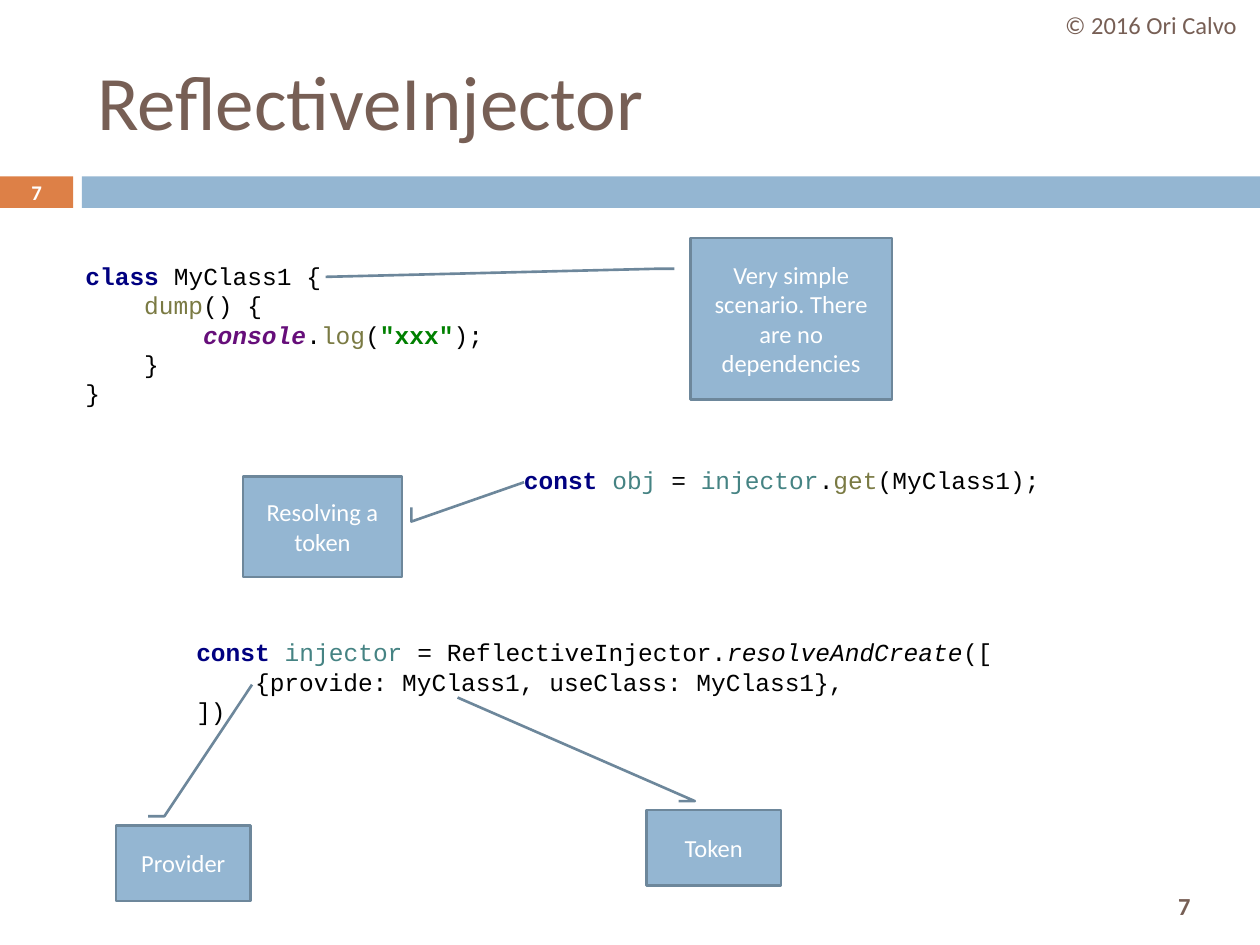
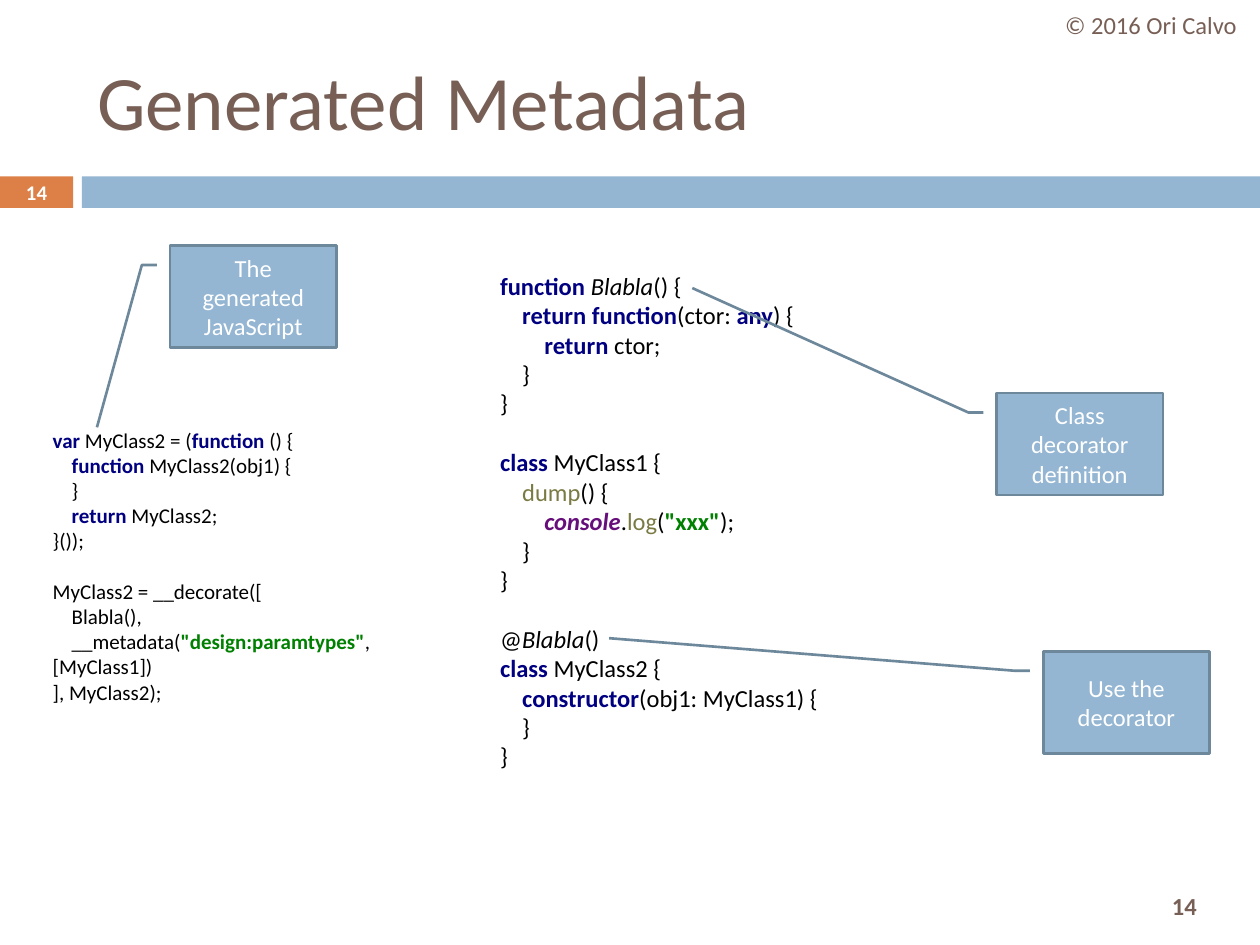
from dataclasses import dataclass

from pptx import Presentation
from pptx.dml.color import RGBColor
from pptx.enum.shapes import MSO_SHAPE
from pptx.enum.text import MSO_ANCHOR, MSO_AUTO_SIZE, PP_ALIGN
from pptx.util import Inches, Pt

COLUMNS, ROWS = 100, 75
SLIDE_WIDTH, SLIDE_HEIGHT = Inches(10), Inches(7.5)
BROWN, ORANGE, BLUE, STEEL, WHITE = "775F55", "DD8047", "94B6D2", "6D879B", "FFFFFF"
SANS, MONO = "Calibri", "Courier New"
SPACE_SHARE = {SANS: 0.226, MONO: 0.6}
INDENT_SPACES = 4
LINE_SHARE = 1.2

STYLES = {
    "plain": {"color": "000000"},
    "slanted": {"color": "000000", "italic": True},
    "keyword": {"color": "000080", "bold": True},
    "method": {"color": "7A7A43"},
    "global": {"color": "660E7A", "bold": True, "italic": True},
    "string": {"color": "008000", "bold": True},
    "variable": {"color": "458383"},
}

LEFT_ELBOW = (0.19, -0.08, 0.19, -0.17)
TOP_ELBOW = (-0.12, 0.24, -0.12, 0.36)
RIGHT_ELBOW = (0.31, 1.06, 0.45, 1.06)


@dataclass
class Box:
    """An area measured in grid columns and rows."""
    left: float
    top: float
    width: float
    height: float

    def inner(self, left, top, width, height):
        """Return an area placed from this area's top left corner."""
        return Box(self.left + left, self.top + top, width, height)

    def lengths(self):
        """Return left, top, width and height as slide lengths."""
        column, row = SLIDE_WIDTH / COLUMNS, SLIDE_HEIGHT / ROWS
        return (round(self.left * column), round(self.top * row),
                round(self.width * column), round(self.height * row))


HEADER = Box(0, 0, COLUMNS, 16.6)
BODY = Box(0, 17, COLUMNS, 52)
FOOTER = Box(0, 69, COLUMNS, 6)


def rgb(value):
    """Turn a hex string into a colour."""
    return RGBColor.from_string(value)


def add_span(para, text, size, color, font=SANS, bold=False, italic=False):
    """Append one formatted run."""
    span = para.add_run()
    span.text = text
    span.font.name, span.font.size = font, Pt(size)
    span.font.bold, span.font.italic = bold, italic
    span.font.color.rgb = rgb(color)


def write_label(shape, text, size, color, bold=False, align=PP_ALIGN.CENTER):
    """Write a single vertically centred line of text in a shape."""
    frame = shape.text_frame
    frame.word_wrap = True
    frame.auto_size = MSO_AUTO_SIZE.NONE
    frame.vertical_anchor = MSO_ANCHOR.MIDDLE
    para = frame.paragraphs[0]
    para.alignment = align
    add_span(para, text, size, color, bold=bold)


def add_label(page, box, text, size, color, bold=False):
    """Add a centred text box."""
    write_label(page.shapes.add_textbox(*box.lengths()), text, size, color, bold)


def add_filled(page, kind, box, fill):
    """Add a flat preset shape without an outline."""
    shape = page.shapes.add_shape(kind, *box.lengths())
    shape.shadow.inherit = False
    shape.fill.solid()
    shape.fill.fore_color.rgb = rgb(fill)
    shape.line.fill.background()
    return shape


def add_callout(page, box, text, elbow, target):
    """Add a callout whose bent line ends at target, given as (down, across) shares."""
    shape = add_filled(page, MSO_SHAPE.LINE_CALLOUT_2, box, BLUE)
    shape.line.color.rgb = rgb(STEEL)
    shape.line.width = Pt(1.5)
    for index, share in enumerate(elbow + target):
        shape.adjustments[index] = share
    write_label(shape, text, 14, WHITE)


def add_code(page, box, lines, font, size):
    """Add highlighted code from (depth, blank lines before, runs) entries."""
    frame = page.shapes.add_textbox(*box.lengths()).text_frame
    frame.word_wrap = True
    frame.auto_size = MSO_AUTO_SIZE.SHAPE_TO_FIT_TEXT
    step = Pt(size * SPACE_SHARE[font] * INDENT_SPACES)
    for number, (depth, blanks, runs) in enumerate(lines):
        para = frame.add_paragraph() if number else frame.paragraphs[0]
        para.line_spacing = Pt(size * LINE_SHARE)
        para.space_before = Pt(size * LINE_SHARE * blanks)
        properties = para._p.get_or_add_pPr()
        properties.set("marL", "0")
        properties.set("indent", str(depth * step))
        for style, text in runs:
            add_span(para, text, size, font=font, **STYLES[style])


def plain(depth, text, blanks=0):
    """Return a code line in a single plain run."""
    return depth, blanks, [("plain", text)]


def first_class(blanks=0):
    """Return the code lines of the class that both slides show."""
    return [
        (0, blanks, [("keyword", "class "), ("plain", "MyClass1 {")]),
        (1, 0, [("method", "dump"), ("plain", "() {")]),
        (2, 0, [("global", "console"), ("plain", "."), ("method", "log"),
                ("plain", "("), ("string", '"xxx"'), ("plain", ");")]),
        plain(1, "}"),
        plain(0, "}"),
    ]


def add_header(page, box, title, number):
    """Fill the top region with title, credit and numbered band."""
    add_filled(page, MSO_SHAPE.RECTANGLE, box.inner(0, 14, 5.8, 2.5), ORANGE)
    add_filled(page, MSO_SHAPE.RECTANGLE, box.inner(6.5, 14, 93.5, 2.5), BLUE)
    heading = page.shapes.title
    heading.left, heading.top, heading.width, heading.height = (
        box.inner(6.7, 2.5, 89.2, 10.8).lengths())
    write_label(heading, title, 44, BROWN, align=PP_ALIGN.LEFT)
    add_label(page, box.inner(82.7, 0, 17.3, 4), "© 2016 Ori Calvo", 14, BROWN)
    add_label(page, box.inner(0, 13.9, 5.8, 2.7), number, 11.9, WHITE, True)


def add_footer(page, box, number):
    """Place the page number at the bottom right."""
    add_label(page, box.inner(89.4, 0.8, 9.2, 4.2), number, 14, BROWN, True)


def add_page(deck, title, number):
    """Add a slide with the shared header and footer."""
    page = deck.slides.add_slide(deck.slide_layouts[5])
    add_header(page, HEADER, title, str(number))
    add_footer(page, FOOTER, str(number))
    return page


def fill_injector(page, box):
    """Show how an injector is created and used."""
    creation = [
        (0, 0, [("keyword", "const "), ("variable", "injector "),
                ("plain", "= ReflectiveInjector."),
                ("slanted", "resolveAndCreate"), ("plain", "([")]),
        plain(1, "{provide: MyClass1, useClass: MyClass1},"),
        plain(0, "])"),
    ]
    lookup = [(0, 0, [("keyword", "const "), ("variable", "obj "), ("plain", "= "),
                      ("variable", "injector"), ("plain", "."), ("method", "get"),
                      ("plain", "(MyClass1);")])]
    add_code(page, box.inner(5.8, 3.2, 50, 12.8), first_class(), MONO, 14)
    add_code(page, box.inner(14.6, 33.1, 66, 8.1), creation, MONO, 14)
    add_code(page, box.inner(40.6, 19.4, 44, 3.4), lookup, MONO, 14)
    add_callout(page, box.inner(51.3, 47.3, 10.7, 6), "Token", TOP_ELBOW, (-1.49, -1.4))
    add_callout(page, box.inner(54.8, 1.9, 16, 12.8),
                "Very simple scenario. There are no dependencies", LEFT_ELBOW, (0.24, -1.81))
    add_callout(page, box.inner(19.3, 20.8, 12.6, 8), "Resolving a token",
                RIGHT_ELBOW, (0.06, 1.77))
    add_callout(page, box.inner(9.2, 48.5, 10.7, 6), "Provider", TOP_ELBOW, (-1.86, 1.01))


def fill_metadata(page, box):
    """Show decorated source next to the generated output."""
    source = [
        (0, 0, [("keyword", "function "), ("slanted", "Blabla"), ("plain", "() {")]),
        (1, 0, [("keyword", "return function"), ("plain", "(ctor: "),
                ("keyword", "any"), ("plain", ") {")]),
        (2, 0, [("keyword", "return "), ("plain", "ctor;")]),
        plain(1, "}"),
        plain(0, "}"),
        *first_class(blanks=1),
        (0, 1, [("plain", "@"), ("slanted", "Blabla"), ("plain", "()")]),
        (0, 0, [("keyword", "class "), ("plain", "MyClass2 {")]),
        (1, 0, [("keyword", "constructor"), ("plain", "(obj1: MyClass1) {")]),
        plain(1, "}"),
        plain(0, "}"),
    ]
    generated = [
        (0, 0, [("keyword", "var "), ("plain", "MyClass2 = ("),
                ("keyword", "function "), ("plain", "() {")]),
        (1, 0, [("keyword", "function "), ("plain", "MyClass2(obj1) {")]),
        plain(1, "}"),
        (1, 0, [("keyword", "return "), ("plain", "MyClass2;")]),
        plain(0, "}());"),
        plain(0, "MyClass2 = __decorate([", blanks=1),
        plain(1, "Blabla(),"),
        (1, 0, [("plain", "__metadata("), ("string", '"design:paramtypes"'),
                ("plain", ", [MyClass1])")]),
        plain(0, "], MyClass2);"),
    ]
    add_code(page, box.inner(38.7, 4, 27.9, 41.1), source, SANS, 14)
    add_code(page, box.inner(3.2, 16.4, 30.6, 23.2), generated, SANS, 12)
    for left, top, text, target in [
        (79.1, 14.2, "Class decorator definition", (-1.03, -1.83)),
        (82.8, 34.7, "Use the decorator", (-0.13, -2.61)),
        (13.5, 2.5, "The generated JavaScript", (1.78, -0.44)),
    ]:
        add_callout(page, box.inner(left, top, 13.2, 8.1), text, LEFT_ELBOW, target)


def main():
    """Build and save the deck."""
    deck = Presentation()
    deck.slide_width, deck.slide_height = SLIDE_WIDTH, SLIDE_HEIGHT
    fill_injector(add_page(deck, "ReflectiveInjector", 7), BODY)
    fill_metadata(add_page(deck, "Generated Metadata", 14), BODY)
    deck.save("out.pptx")


if __name__ == "__main__":
    main()
